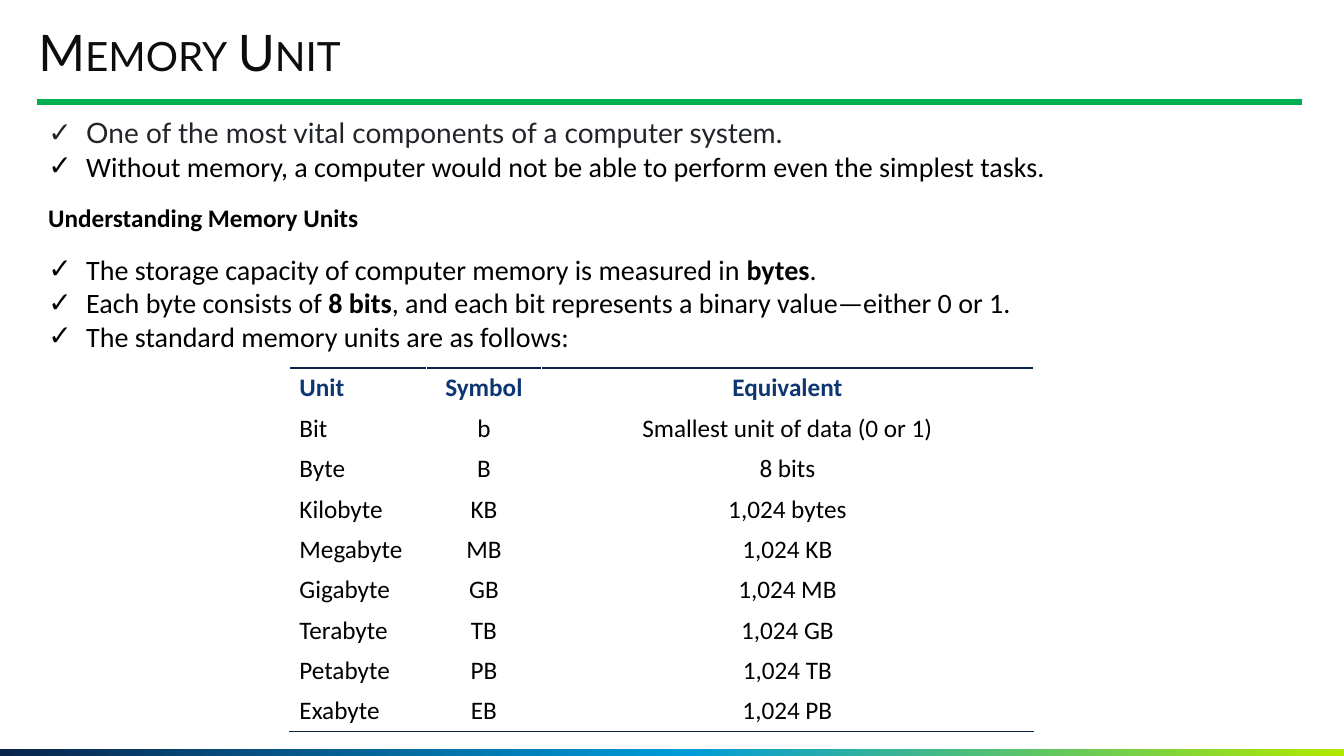
import copy

import pptx
import pptx.dml.color
import pptx.enum.shapes
import pptx.enum.text
import pptx.oxml.ns
import pptx.oxml.xmlchemy
import pptx.util
from pptx.util import Inches

SLIDE_WIDTH, SLIDE_HEIGHT = Inches(13.33), Inches(7.5)
LEFT = Inches(0.38)
TEXT_WIDTH = Inches(11.98)
NAVY = "09244C"
BLACK = "000000"
qualified = pptx.oxml.ns.qn

# Each list item is a sequence of runs: text, bold, font name, colour
MEMORY_ROLE = [
    [("One of the most vital components of a computer system.", False, "Lato", "212529")],
    [("Without memory, a computer would not be able to perform even the simplest tasks.",
      False, "Calibri", BLACK)],
]
MEMORY_MEASURE = [
    [("The storage capacity of computer memory is measured in ", False, "Calibri", BLACK),
     ("bytes", True, "Calibri", BLACK),
     (".", False, "Calibri", BLACK)],
    [("Each byte consists of ", False, "Calibri", BLACK),
     ("8 bits", True, "Calibri", BLACK),
     (", and each bit represents a binary value—either 0 or 1.", False, "Calibri", BLACK)],
    [("The standard memory units are as follows:", False, "Calibri", BLACK)],
]
UNITS = [
    ("Unit", "Symbol", "Equivalent"),
    ("Bit", "b", "Smallest unit of data (0 or 1)"),
    ("Byte", "B", "8 bits"),
    ("Kilobyte", "KB", "1,024 bytes"),
    ("Megabyte", "MB", "1,024 KB"),
    ("Gigabyte", "GB", "1,024 MB"),
    ("Terabyte", "TB", "1,024 GB"),
    ("Petabyte", "PB", "1,024 TB"),
    ("Exabyte", "EB", "1,024 PB"),
]


def colour(hex_string):
    return pptx.dml.color.RGBColor.from_string(hex_string)


def add_run(paragraph, text, size, bold=False, font_name="Calibri", font_colour=BLACK):
    run = paragraph.add_run()
    run.text = text
    run.font.size = pptx.util.Pt(size)
    run.font.bold = bold
    run.font.name = font_name
    run.font.color.rgb = colour(font_colour)
    return run


def place(shape, left, top, width, height):
    shape.left, shape.top, shape.width, shape.height = left, top, width, height


def add_child(parent, tag, **attributes):
    child = parent.makeelement(qualified(tag), attributes)
    parent.append(child)
    return child


def add_gradient_bar(slide, left, top, width, height):
    bar = slide.shapes.add_shape(
        pptx.enum.shapes.MSO_SHAPE.RECTANGLE, left, top, width, height)
    bar.shadow.inherit = False
    bar.line.fill.background()
    bar.fill.gradient()
    bar.fill.gradient_angle = 0
    # The default gradient has two stops; a third is needed
    stop_list = bar._element.spPr.find(".//" + qualified("a:gsLst"))
    stop_list.append(copy.deepcopy(stop_list[0]))
    stops = [(0, NAVY), (0.51, "009CDA"), (1, "B0E900")]
    for stop, (position, stop_colour) in zip(bar.fill.gradient_stops, stops):
        stop.position = position
        stop.color.rgb = colour(stop_colour)


def add_title_rule(slide, left, top, width):
    rule = slide.shapes.add_connector(
        pptx.enum.shapes.MSO_CONNECTOR.STRAIGHT, left, top, left + width, top)
    rule.line.color.rgb = colour("00B050")
    rule.line.width = pptx.util.Pt(4.5)
    add_child(rule._element.spPr, "a:effectLst")


def fill_title(title, left, top, width, height):
    place(title, left, top, width, height)
    frame = title.text_frame
    frame.margin_left = frame.margin_right = frame.margin_top = frame.margin_bottom = 0
    frame.vertical_anchor = pptx.enum.text.MSO_ANCHOR.MIDDLE
    paragraph = frame.paragraphs[0]
    paragraph.alignment = pptx.enum.text.PP_ALIGN.LEFT
    paragraph.line_spacing = 0.9
    run = add_run(paragraph, "Memory Unit", 36, font_name="Lato", font_colour="0D0D0D")
    run.font._element.set("cap", "small")


def fill_check_list(placeholder, items, left, top, width, height):
    place(placeholder, left, top, width, height)
    frame = placeholder.text_frame
    frame.auto_size = pptx.enum.text.MSO_AUTO_SIZE.NONE
    for index, runs in enumerate(items):
        paragraph = frame.paragraphs[0] if index == 0 else frame.add_paragraph()
        paragraph.space_before = pptx.util.Pt(0)
        properties = paragraph._element.get_or_add_pPr()
        indent = Inches(0.375)
        properties.set("marL", str(indent))
        properties.set("indent", str(-indent))
        add_child(properties, "a:buChar", char="✓")
        for text, bold, font_name, font_colour in runs:
            add_run(paragraph, text, 20, bold, font_name, font_colour)


def add_subheading(slide, left, top, width, height):
    frame = slide.shapes.add_textbox(left, top, width, height).text_frame
    frame.word_wrap = True
    add_run(frame.paragraphs[0], "Understanding Memory Units", 18, bold=True)


def add_cell_border(cell, side):
    border = cell._tc.get_or_add_tcPr().makeelement(
        qualified(side), {"w": str(pptx.util.Pt(1))})
    fill = add_child(border, "a:solidFill")
    add_child(fill, "a:srgbClr", val=NAVY)
    cell._tc.get_or_add_tcPr().insert(0, border)


def add_unit_table(slide, left, top, width, height):
    column_widths = [Inches(1.36), Inches(1.14)]
    column_widths.append(width - sum(column_widths))
    table = slide.shapes.add_table(
        len(UNITS), len(column_widths), left, top, width, height).table
    table.first_row = table.horz_banding = False
    for column, column_width in zip(table.columns, column_widths):
        column.width = column_width
    for row_index, values in enumerate(UNITS):
        header = row_index == 0
        for column_index, text in enumerate(values):
            cell = table.cell(row_index, column_index)
            cell.fill.background()
            cell.vertical_anchor = pptx.enum.text.MSO_ANCHOR.MIDDLE
            paragraph = cell.text_frame.paragraphs[0]
            if column_index > 0:
                paragraph.alignment = pptx.enum.text.PP_ALIGN.CENTER
            add_run(paragraph, text, 18, header, font_colour="0D3672" if header else BLACK)
            if header:
                add_cell_border(cell, "a:lnT")
            elif row_index == len(UNITS) - 1:
                add_cell_border(cell, "a:lnB")


def build_memory_slide(presentation):
    # Layout with a title and two body placeholders
    slide = presentation.slides.add_slide(presentation.slide_layouts[3])
    title, role_list, measure_list = slide.placeholders

    # Bottom bar and title
    bar_height = Inches(0.07)
    add_gradient_bar(slide, 0, SLIDE_HEIGHT - bar_height, SLIDE_WIDTH, bar_height)
    add_title_rule(slide, Inches(0.37), Inches(1.01), Inches(12.54))
    fill_title(title, LEFT, Inches(0.27), Inches(11.19), Inches(0.55))

    # Lists and subheading
    fill_check_list(role_list, MEMORY_ROLE, LEFT, Inches(1.1), TEXT_WIDTH, Inches(0.77))
    add_subheading(slide, LEFT, Inches(1.96), Inches(6.67), Inches(0.4))
    fill_check_list(measure_list, MEMORY_MEASURE, LEFT, Inches(2.45), TEXT_WIDTH, Inches(1.11))

    # Table of units
    add_unit_table(slide, Inches(2.87), Inches(3.65), Inches(7.38), Inches(3.6))


def main():
    presentation = pptx.Presentation()
    presentation.slide_width, presentation.slide_height = SLIDE_WIDTH, SLIDE_HEIGHT
    build_memory_slide(presentation)
    presentation.save("out.pptx")


if __name__ == "__main__":
    main()
